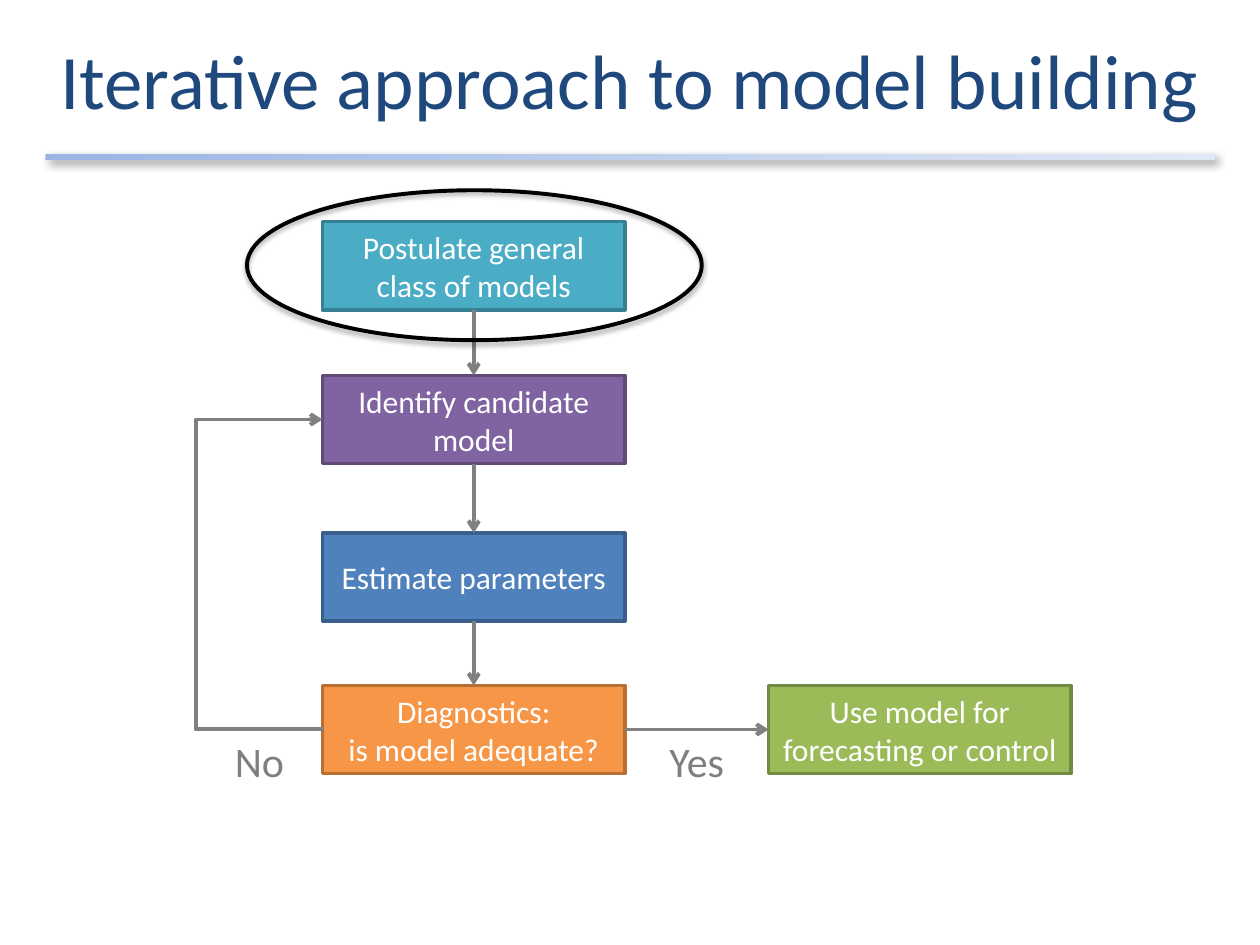
from pptx import Presentation
from pptx.dml.color import RGBColor
from pptx.enum.shapes import MSO_CONNECTOR as Connector, MSO_SHAPE as Shape
from pptx.enum.text import MSO_ANCHOR as Anchor, PP_ALIGN as Align
from pptx.oxml.ns import qn
from pptx.util import Inches, Pt
from lxml.etree import SubElement

FONT = "Calibri"
NAVY = RGBColor(0x1F, 0x49, 0x7D)
WHITE = RGBColor(0xFF, 0xFF, 0xFF)
BLACK = RGBColor(0, 0, 0)
ARROW_GRAY = RGBColor(0x80, 0x80, 0x80)
LABEL_GRAY = RGBColor(0x7F, 0x7F, 0x7F)
RULE_START = RGBColor(0x9A, 0xB5, 0xE4)
RULE_END = RGBColor(0xE1, 0xE8, 0xF5)
TEAL, TEAL_EDGE = RGBColor(0x4B, 0xAC, 0xC6), RGBColor(0x37, 0x7F, 0x92)
PURPLE, PURPLE_EDGE = RGBColor(0x80, 0x64, 0xA2), RGBColor(0x5F, 0x4A, 0x78)
BLUE, BLUE_EDGE = RGBColor(0x4F, 0x81, 0xBD), RGBColor(0x3A, 0x5F, 0x8C)
ORANGE, ORANGE_EDGE = RGBColor(0xF7, 0x96, 0x46), RGBColor(0xB7, 0x6F, 0x34)
GREEN, GREEN_EDGE = RGBColor(0x9B, 0xBB, 0x59), RGBColor(0x73, 0x8A, 0x42)

BOX_WIDTH, BOX_HEIGHT = 2.4, 0.7
STEPS = [  # top, text, fill, edge
    (1.76, "Postulate general class of models", TEAL, TEAL_EDGE),
    (2.98, "Identify candidate model", PURPLE, PURPLE_EDGE),
    (4.23, "Estimate parameters", BLUE, BLUE_EDGE),
    (5.44, "Diagnostics:\nis model adequate?", ORANGE, ORANGE_EDGE),
]


def set_text(shape, text, size, color):
    frame = shape.text_frame
    frame.text = text
    frame.word_wrap = True
    frame.vertical_anchor = Anchor.MIDDLE
    for paragraph in frame.paragraphs:
        paragraph.alignment = Align.CENTER
        font = paragraph.font
        font.name, font.size, font.color.rgb = FONT, Pt(size), color


def add_shadow(shape, opacity, blur, distance, angle):
    shape.shadow.inherit = False
    effects = shape._element.spPr.find(qn("a:effectLst"))
    shadow = SubElement(effects, qn("a:outerShdw"), blurRad=str(Pt(blur)),
                        dist=str(Pt(distance)), dir=str(angle * 60000),
                        rotWithShape="0")
    color = SubElement(shadow, qn("a:srgbClr"), val="000000")
    SubElement(color, qn("a:alpha"), val=str(opacity * 1000))


def add_shape(slide, kind, left, top, width, height):
    return slide.shapes.add_shape(kind, Inches(left), Inches(top),
                                  Inches(width), Inches(height))


def add_step(slide, left, top, text, fill, edge):
    box = add_shape(slide, Shape.RECTANGLE, left, top, BOX_WIDTH, BOX_HEIGHT)
    box.shadow.inherit = False
    box.fill.solid()
    box.fill.fore_color.rgb = fill
    box.line.color.rgb = edge
    box.line.width = Pt(2)
    set_text(box, text, 18, WHITE)


def add_arrow(slide, start, end, kind=Connector.STRAIGHT):
    points = [Inches(value) for value in (*start, *end)]
    arrow = slide.shapes.add_connector(kind, *points)
    arrow.line.color.rgb = ARROW_GRAY
    arrow.line.width = Pt(2.25)
    properties = arrow._element.spPr
    SubElement(properties.find(qn("a:ln")), qn("a:tailEnd"), type="arrow")
    SubElement(properties, qn("a:effectLst"))
    return arrow


def add_loop(slide, start, end, reach):
    """Elbow arrow that swings out to the left by the given reach."""
    loop = add_arrow(slide, start, end, Connector.ELBOW)
    ratio = round(reach / (start[0] - end[0]) * 100000)
    guides = loop._element.spPr.find(qn("a:prstGeom")).get_or_add_avLst()
    SubElement(guides, qn("a:gd"), name="adj1", fmla=f"val {ratio}")


def add_label(slide, left, top, text):
    label = slide.shapes.add_textbox(Inches(left), Inches(top),
                                     Inches(0.7), Inches(0.5))
    set_text(label, text, 24, LABEL_GRAY)


def add_header(slide, left, top, width, height):
    title = slide.shapes.title
    title.left, title.top = Inches(left), Inches(top)
    title.width, title.height = Inches(width), Inches(height)
    set_text(title, "Iterative approach to model building", 44, NAVY)

    # Fading rule under the title
    rule = add_shape(slide, Shape.RECTANGLE, left + 0.36, top + 1.22,
                     width - 0.72, 0.05)
    rule.fill.gradient()
    rule.fill.gradient_angle = 0
    for stop, color in zip(rule.fill.gradient_stops, (RULE_START, RULE_END)):
        stop.color.rgb = color
    rule.line.fill.background()
    add_shadow(rule, 40, 5, 3, 45)


def add_flowchart(slide, left, result_left):
    right, center = left + BOX_WIDTH, left + BOX_WIDTH / 2
    tops = [step[0] for step in STEPS]
    middles = [top + BOX_HEIGHT / 2 for top in tops]

    # Steps and outcome
    for step in STEPS:
        add_step(slide, left, *step)
    add_step(slide, result_left, tops[-1],
             "Use model for forecasting or control", GREEN, GREEN_EDGE)

    # Arrows down, back and on to the outcome
    for top, next_top in zip(tops, tops[1:]):
        add_arrow(slide, (center, top + BOX_HEIGHT), (center, next_top))
    add_loop(slide, (left + 0.01, middles[-1]), (left, middles[1]), 1.03)
    add_arrow(slide, (right, middles[-1]), (result_left, middles[-1]))

    # Branch labels
    add_label(slide, left - 0.85, middles[-1], "No")
    add_label(slide, right + 0.22, middles[-1], "Yes")

    # Ring around the first step
    ring = add_shape(slide, Shape.OVAL, left - 0.6, tops[0] - 0.25, 3.61, 1.19)
    ring.fill.background()
    ring.line.color.rgb = BLACK
    ring.line.width = Pt(2.25)
    add_shadow(ring, 35, 3.1, 1.8, 90)


def main():
    presentation = Presentation()
    presentation.slide_width = Inches(10)
    presentation.slide_height = Inches(7.5)
    slide = presentation.slides.add_slide(presentation.slide_layouts[5])
    add_header(slide, 0, 0, 10, 1.25)
    add_flowchart(slide, 2.56, 6.1)
    presentation.save("out.pptx")


if __name__ == "__main__":
    main()
